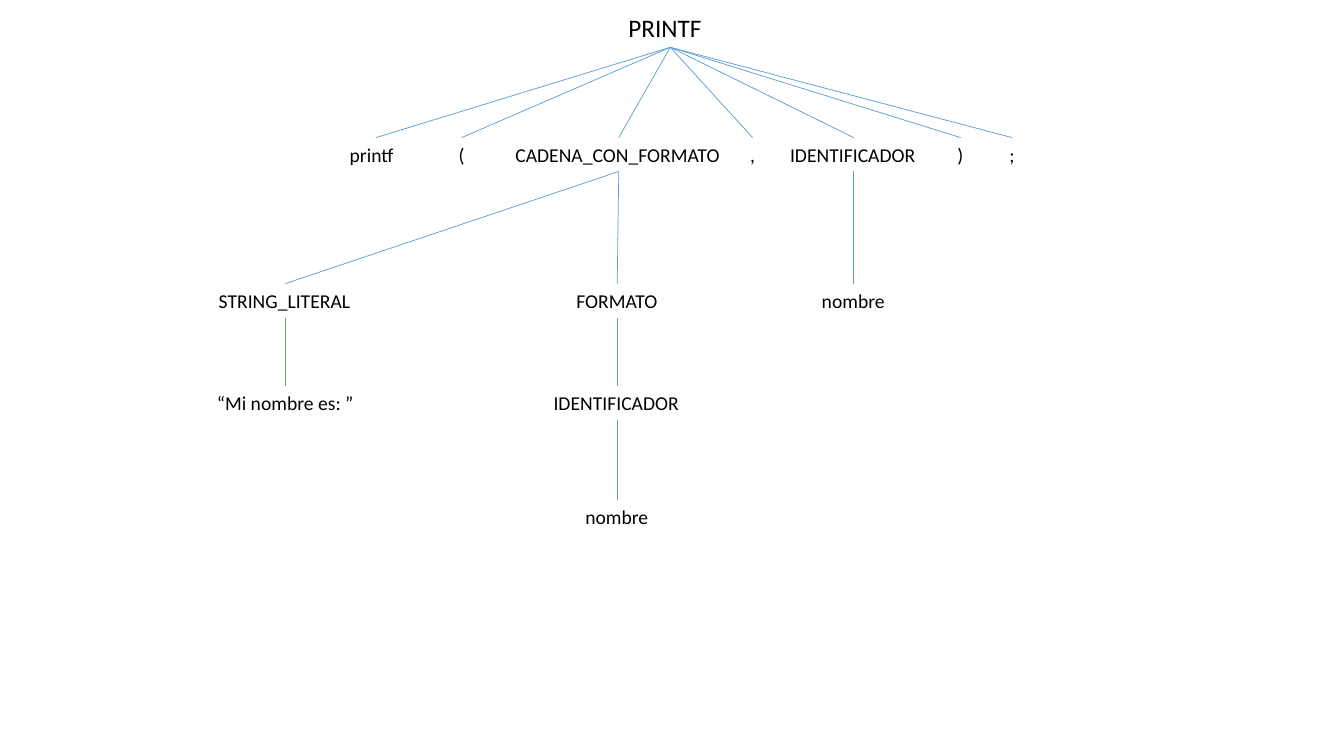
from dataclasses import dataclass, field

from lxml import etree
from pptx import Presentation
from pptx.dml.color import RGBColor
from pptx.enum import shapes, text
from pptx.oxml import ns
from pptx.util import Pt

BLACK = RGBColor(0, 0, 0)
BLUE = RGBColor(0x5B, 0x9B, 0xD5)
GREEN = RGBColor(0x70, 0xAD, 0x47)
LEFT = text.PP_ALIGN.LEFT
MID = text.PP_ALIGN.CENTER
TOPS = [5, 98.3, 202.6, 275.8, 357.1]
ROOT_H = 28.8
NODE_H = 24.2


@dataclass
class Node:
    label: str
    x: float
    width: float
    kids: list = field(default_factory=list)
    align: int = LEFT
    wrap: bool = False
    color: RGBColor = BLUE


def make_tree():
    literal = Node("STRING_LITERAL", 203.8, 109.4, [
        Node("“Mi nombre es: ”", 203.8, 117.4, align=MID, wrap=True, color=GREEN)])
    form = Node("FORMATO", 440.9, 72.7, [
        Node("IDENTIFICADOR", 440.9, 105.1, [Node("nombre", 440.9, 59.8)])])
    return Node("PRINTF", 478.8, 74.2, [
        Node("printf", 268.6, 51.8, wrap=True),
        Node("(", 329.8, 18.7),
        Node("CADENA_CON_FORMATO", 442, 162, [literal, form]),
        Node(",", 537.6, 18, align=MID),
        Node("IDENTIFICADOR", 609.8, 105.1, [Node("nombre", 609.8, 59.8)]),
        Node(")", 686.2, 18.7),
        Node(";", 722.9, 18),
    ], wrap=True)


def set_label(shape, node, size):
    frame = shape.text_frame
    frame.text = node.label
    frame.word_wrap = node.wrap
    frame.auto_size = text.MSO_AUTO_SIZE.SHAPE_TO_FIT_TEXT
    frame.vertical_anchor = text.MSO_ANCHOR.TOP
    frame.margin_left = frame.margin_right = Pt(7.2)
    frame.margin_top = frame.margin_bottom = Pt(3.6)
    para = frame.paragraphs[0]
    para.alignment = node.align
    para.line_spacing = 1.0
    para.space_before = Pt(0)
    para.font.name = "Calibri"
    para.font.size = Pt(size)
    para.font.color.rgb = BLACK


def add_line(slide, start, end, color):
    line = slide.shapes.add_connector(
        shapes.MSO_CONNECTOR.STRAIGHT, *map(Pt, start + end))
    line.line.color.rgb = color
    line.line.width = Pt(0.5)
    etree.SubElement(line._element.spPr, ns.qn("a:effectLst"))


def add_node(slide, node, level=0):
    top = TOPS[level]
    high = NODE_H if level else ROOT_H
    rect = [Pt(n) for n in (node.x - node.width / 2, top, node.width, high)]
    if level:
        box = slide.shapes.add_textbox(*rect)
    else:
        box = slide.shapes.title
        box.left, box.top, box.width, box.height = rect
    set_label(box, node, 14 if level else 18)
    for kid in node.kids:
        add_line(slide, (node.x, top + high), (kid.x, TOPS[level + 1]), kid.color)
        add_node(slide, kid, level + 1)


def main():
    deck = Presentation()
    deck.slide_width, deck.slide_height = Pt(960), Pt(540)
    slide = deck.slides.add_slide(deck.slide_layouts[5])
    add_node(slide, make_tree())
    deck.save("out.pptx")


main()
